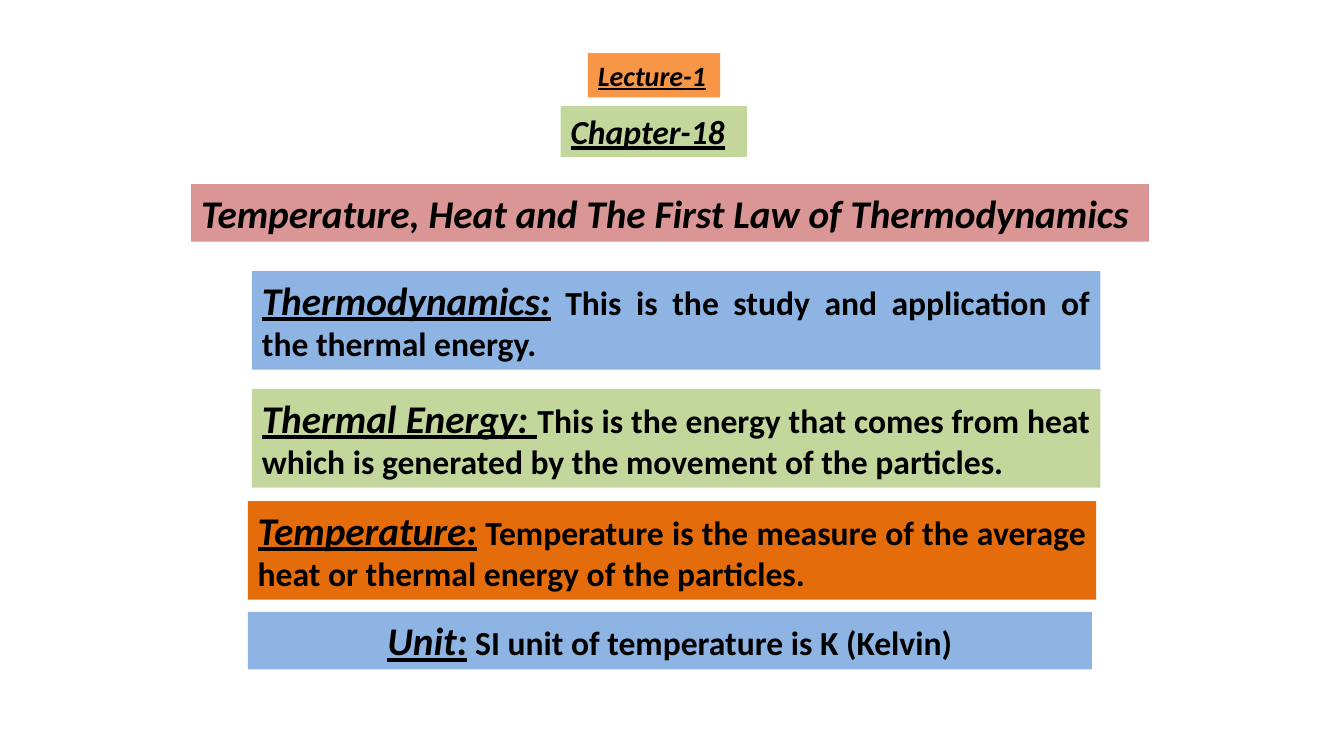
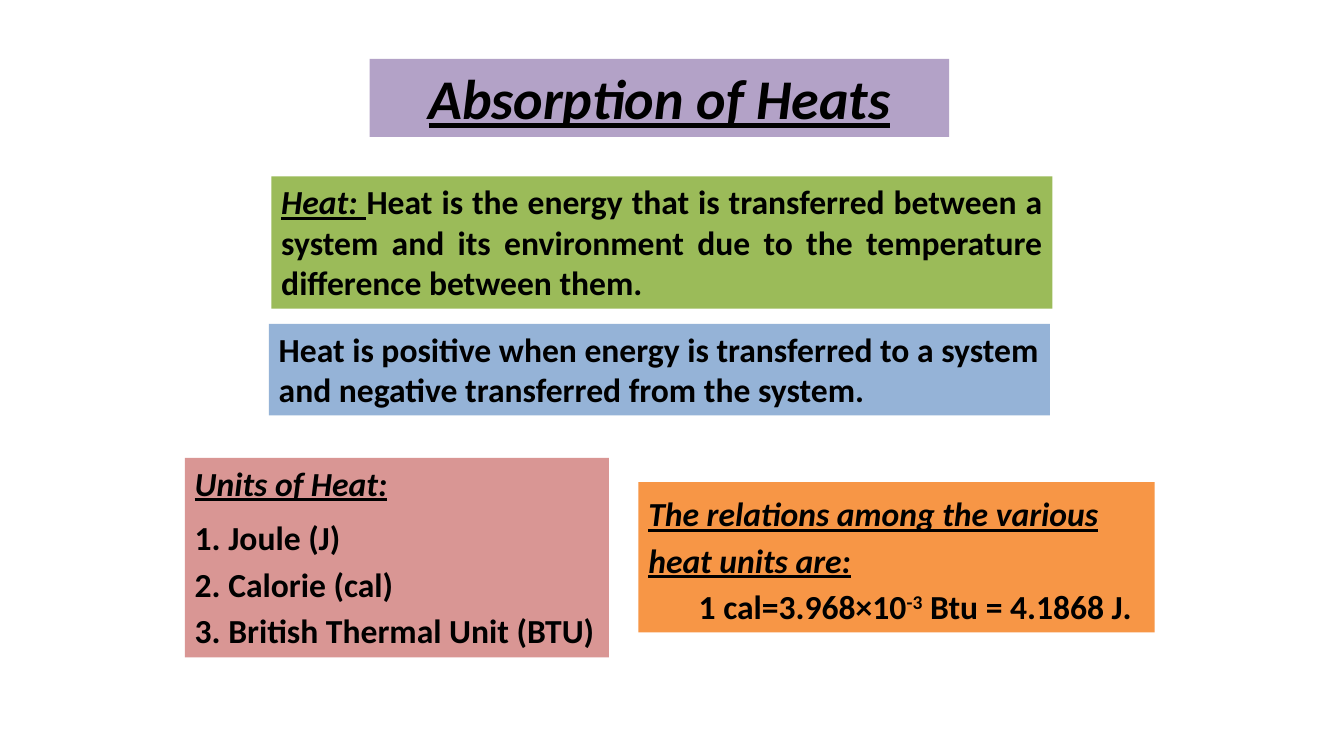
import pptx
import pptx.dml.color
import pptx.enum.shapes
import pptx.enum.text
import pptx.util

Pt = pptx.util.Pt
ALIGN = pptx.enum.text.PP_ALIGN

THEME = {
    "font": "Calibri",
    "text": "000000",
    "fills": {
        "rose": "D99694", "sky": "8EB4E3", "steel": "95B3D7",
        "lime": "C3D69B", "green": "9BBB59", "orange": "F79646",
        "rust": "E46C0A", "violet": "B3A2C7",
    },
    # Run formats, by the role of the words
    "styles": {
        "lecture": {"size": Pt(20), "italic": True, "underline": True},
        "title": {"size": Pt(28), "italic": True},
        "banner": {"size": Pt(40), "italic": True, "underline": True},
        "term": {"size": Pt(28), "italic": True, "underline": True},
        "heading": {"size": Pt(24), "italic": True, "underline": True},
        "body": {"size": Pt(24)},
        "power": {"size": Pt(24)},
    },
}
SUPERSCRIPT = "30000"

JUSTIFY = {"alignment": ALIGN.JUSTIFY}
CENTER = {"alignment": ALIGN.CENTER}
LEFT = {"alignment": ALIGN.LEFT}
LOOSE = {**LEFT, "line_spacing": 1.15}


def rgb(code):
    return pptx.dml.color.RGBColor.from_string(code)


def add_panel(slide, fill, box, paragraphs):
    """Add a filled box; each paragraph is (format, runs, left indent in points)."""
    panel = slide.shapes.add_shape(
        pptx.enum.shapes.MSO_SHAPE.RECTANGLE, *(Pt(length) for length in box))
    panel.shadow.inherit = False
    panel.fill.solid()
    panel.fill.fore_color.rgb = rgb(THEME["fills"][fill])
    panel.line.fill.background()
    frame = panel.text_frame
    frame.word_wrap = True
    frame.auto_size = pptx.enum.text.MSO_AUTO_SIZE.SHAPE_TO_FIT_TEXT
    frame.vertical_anchor = pptx.enum.text.MSO_ANCHOR.TOP

    for index, (layout, runs, indent) in enumerate(paragraphs):
        paragraph = frame.add_paragraph() if index else frame.paragraphs[0]
        for key, value in layout.items():
            setattr(paragraph, key, value)
        if indent:
            paragraph._p.get_or_add_pPr().set("marL", str(Pt(indent)))
        for style, words in runs:
            run = paragraph.add_run()
            run.text = words
            run.font.name = THEME["font"]
            run.font.bold = True
            run.font.color.rgb = rgb(THEME["text"])
            for key, value in THEME["styles"][style].items():
                setattr(run.font, key, value)
            if style == "power":
                run._r.get_or_add_rPr().set("baseline", SUPERSCRIPT)


# Each slide is a list of panels: fill, (left, top, width, height), paragraphs
definitions = [
    ("orange", (420, 38, 94.4, 31.5),
     [(LEFT, [("lecture", "Lecture-1")], 0)]),
    ("lime", (400.5, 75.8, 133, 36.4),
     [(LEFT, [("heading", "Chapter-18")], 0)]),
    ("rose", (136.6, 131.5, 684, 41.2),
     [(LEFT, [("title", "Temperature, Heat and The First Law of Thermodynamics")], 0)]),
    ("sky", (180, 193.7, 606, 70.4),
     [(JUSTIFY, [("term", "Thermodynamics:"),
                 ("body", " This is the study and application of the thermal energy.")], 0)]),
    ("lime", (180, 278, 606, 70.4),
     [(JUSTIFY, [("term", "Thermal Energy: "),
                 ("body", "This is the energy that comes from heat which is generated "
                          "by the movement of the particles.")], 0)]),
    ("rust", (177, 358, 606, 70.4),
     [(JUSTIFY, [("term", "Temperature:"),
                 ("body", " Temperature is the measure of the average heat or thermal "
                          "energy of the particles.")], 0)]),
    ("sky", (177, 437, 603, 41.2),
     [(CENTER, [("term", "Unit:"),
                ("body", " SI unit of temperature is K (Kelvin)")], 0)]),
]

absorption = [
    ("violet", (264, 42, 414, 55.7),
     [(CENTER, [("banner", "Absorption of Heats")], 0)]),
    ("green", (193.8, 126, 558, 94.5),
     [(JUSTIFY, [("heading", "Heat: "),
                 ("body", "Heat is the energy that is transferred between a system and "
                          "its environment due to the temperature difference between "
                          "them.")], 0)]),
    ("steel", (192, 231.4, 558, 65.4),
     [(LEFT, [("body", "Heat is positive when energy is transferred to a system and "
                       "negative transferred from the system.")], 0)]),
    ("rose", (132, 327, 303, 142.5),
     [({**LEFT, "space_after": Pt(10)}, [("heading", "Units of Heat:")], 0),
      (LEFT, [("body", "1. Joule (J)")], 0),
      (LOOSE, [("body", "2. Calorie (cal)")], 0),
      (LOOSE, [("body", "3. British Thermal Unit (BTU)")], 0)]),
    ("orange", (456, 344.4, 368.8, 107.3),
     [(LOOSE, [("heading", "The relations among the various heat units are:")], 0),
      ({**LOOSE, "space_after": Pt(10)},
       [("body", "1 cal=3.968×10"), ("power", "-3"),
        ("body", " Btu = 4.1868 J.")], 36)]),
]

deck = pptx.Presentation()
deck.slide_width, deck.slide_height = Pt(960), Pt(540)
blank = deck.slide_layouts[6]

for panels in (definitions, absorption):
    slide = deck.slides.add_slide(blank)
    for fill, box, paragraphs in panels:
        add_panel(slide, fill, box, paragraphs)

deck.save("out.pptx")
